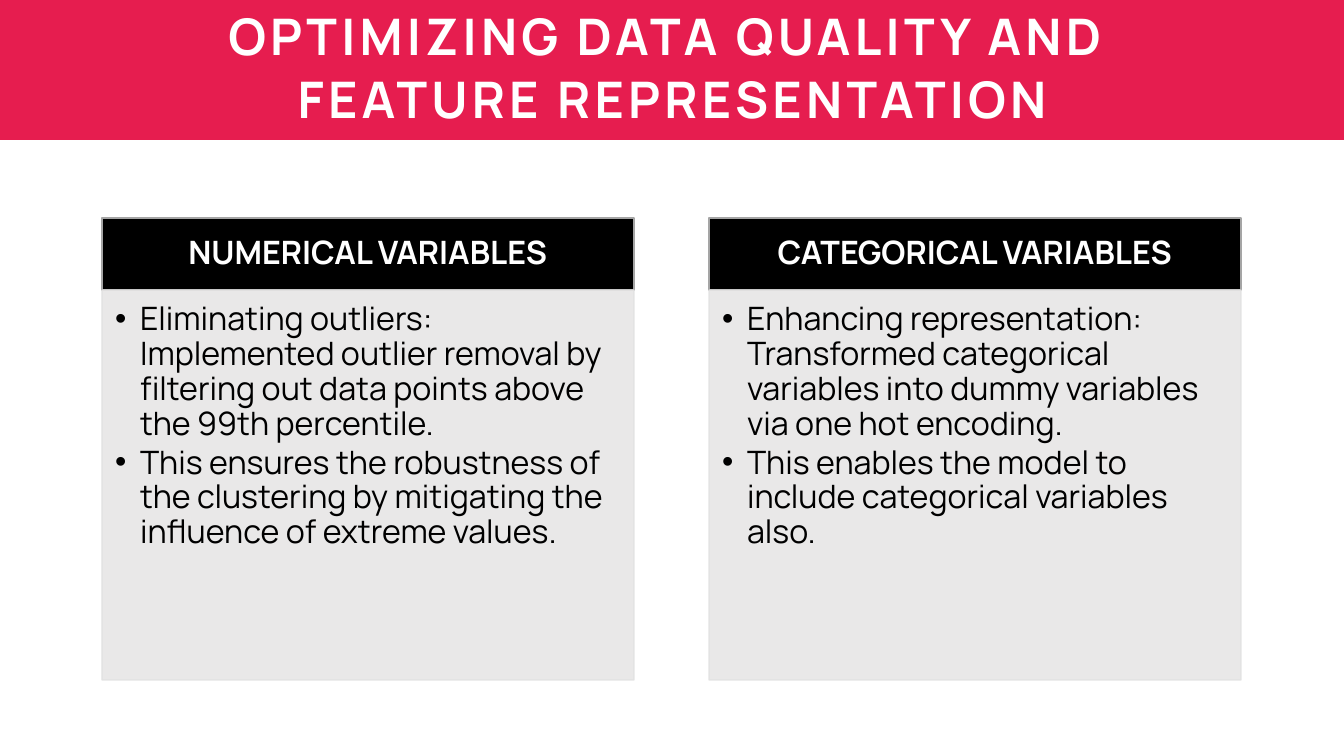
from dataclasses import dataclass

from lxml import etree
from pptx import Presentation
from pptx.dml.color import RGBColor
from pptx.enum.shapes import MSO_SHAPE
from pptx.enum.text import MSO_ANCHOR, MSO_AUTO_SIZE, PP_ALIGN
from pptx.oxml.ns import qn
from pptx.shapes.base import BaseShape
from pptx.text.text import TextFrame, _Paragraph
from pptx.util import Emu, Pt

RECTANGLE = MSO_SHAPE.RECTANGLE
TOP, MIDDLE = MSO_ANCHOR.TOP, MSO_ANCHOR.MIDDLE
CENTER, LEFT = PP_ALIGN.CENTER, PP_ALIGN.LEFT
NO_AUTOFIT = MSO_AUTO_SIZE.NONE

PX_PER_INCH = 100.8
SLIDE_WIDTH, SLIDE_HEIGHT = 1344, 756
COMPARISON_LAYOUT = 4
FONT_NAME = "Manrope"
TITLE_LINES = ("OPTIMIZING DATA QUALITY AND ", "FEATURE REPRESENTATION")

CARD_LEFT, CARD_STEP, CARD_WIDTH = 102, 607, 532
HEADER_TOP, HEADER_HEIGHT = 218, 72
BODY_TOP, BODY_HEIGHT = HEADER_TOP + HEADER_HEIGHT, 390
BULLET_INDENT = 25


@dataclass(frozen=True)
class Card:
    heading: str
    points: tuple[str, ...]
    heading_idx: int
    points_idx: int


CARDS = (
    Card(
        "NUMERICAL VARIABLES",
        (
            "Eliminating outliers: Implemented outlier removal by filtering out "
            "data points above the 99th percentile.",
            "This ensures the robustness of the clustering by mitigating the "
            "influence of extreme values.",
        ),
        1,
        2,
    ),
    Card(
        "CATEGORICAL VARIABLES",
        (
            "Enhancing representation: Transformed categorical variables into "
            "dummy variables via one hot encoding.",
            "This enables the model to include categorical variables also.",
        ),
        3,
        4,
    ),
)


def px(length: int) -> Emu:
    return Emu(round(length * 914400 / PX_PER_INCH))


def rgb(color: str) -> RGBColor:
    return RGBColor.from_string(color)


def place(shape: BaseShape, left: int, top: int, width: int, height: int) -> None:
    shape.left, shape.top = px(left), px(top)
    shape.width, shape.height = px(width), px(height)


def paint(shape: BaseShape, fill: str, line: str, opacity: int = 100) -> None:
    shape.fill.solid()
    shape.fill.fore_color.rgb = rgb(fill)
    shape.line.color.rgb = rgb(line)
    shape.line.width = Pt(1)
    if opacity < 100:
        for color in shape._element.spPr.iter(qn("a:srgbClr")):
            etree.SubElement(color, qn("a:alpha")).set("val", str(opacity * 1000))


def set_frame(
    frame: TextFrame, anchor: MSO_ANCHOR, insets: tuple[int, int, int, int]
) -> None:
    """Set the anchor and the left, top, right and bottom insets."""
    frame.word_wrap = True
    frame.auto_size = NO_AUTOFIT
    frame.vertical_anchor = anchor
    frame.margin_left, frame.margin_top, frame.margin_right, frame.margin_bottom = (
        px(inset) for inset in insets
    )


def set_paragraph(
    paragraph: _Paragraph,
    alignment: PP_ALIGN,
    line_spacing: float | Pt,
    space_after: int = 0,
) -> None:
    paragraph.alignment = alignment
    paragraph.line_spacing = line_spacing
    paragraph.space_before = Pt(0)
    paragraph.space_after = Pt(space_after)


def set_font(paragraph: _Paragraph, size: int, color: str, bold: bool) -> None:
    font = paragraph.font
    font.name, font.size, font.bold = FONT_NAME, Pt(size), bold
    font.color.rgb = rgb(color)


def add_bullet(paragraph: _Paragraph) -> None:
    properties = paragraph._p.get_or_add_pPr()
    properties.set("marL", str(px(BULLET_INDENT)))
    properties.set("indent", str(-px(BULLET_INDENT)))
    etree.SubElement(properties, qn("a:buChar")).set("char", "•")


def fill_title(title: BaseShape) -> None:
    place(title, 67, -2, 1211, 142)
    frame = title.text_frame
    set_frame(frame, TOP, (10, 5, 10, 5))
    frame.text = "\n".join(TITLE_LINES)
    for paragraph in frame.paragraphs:
        set_paragraph(paragraph, CENTER, Pt(44.8))
        set_font(paragraph, 36, "FFFFFF", True)
        for run in paragraph.runs:
            run._r.get_or_add_rPr().set("spc", "300")


def fill_card(card: Card, left: int, heading: BaseShape, body: BaseShape) -> None:
    place(heading, left, HEADER_TOP, CARD_WIDTH, HEADER_HEIGHT)
    paint(heading, "000000", "A5A5A5")
    set_frame(heading.text_frame, MIDDLE, (18, 10, 18, 10))
    heading.text_frame.text = card.heading
    paragraph = heading.text_frame.paragraphs[0]
    set_paragraph(paragraph, CENTER, 0.9)
    set_font(paragraph, 23, "FFFFFF", True)

    place(body, left, BODY_TOP, CARD_WIDTH, BODY_HEIGHT)
    paint(body, "E7E6E6", "E1E1E1", 90)
    set_frame(body.text_frame, TOP, (13, 13, 18, 20))
    body.text_frame.text = "\n".join(card.points)
    for paragraph in body.text_frame.paragraphs:
        set_paragraph(paragraph, LEFT, 0.9, 3)
        add_bullet(paragraph)
        set_font(paragraph, 23, "000000", False)


def main() -> None:
    presentation = Presentation()
    presentation.slide_width = px(SLIDE_WIDTH)
    presentation.slide_height = px(SLIDE_HEIGHT)
    slide = presentation.slides.add_slide(presentation.slide_layouts[COMPARISON_LAYOUT])

    band = slide.shapes.add_shape(RECTANGLE, px(0), px(-1), px(SLIDE_WIDTH), px(141))
    band.shadow.inherit = False
    band.fill.solid()
    band.fill.fore_color.rgb = rgb("E61D4F")
    band.line.fill.background()
    slide.shapes._spTree.insert(2, band._element)

    fill_title(slide.shapes.title)
    placeholders = {
        shape.placeholder_format.idx: shape for shape in slide.placeholders
    }
    for index, card in enumerate(CARDS):
        fill_card(
            card,
            CARD_LEFT + index * CARD_STEP,
            placeholders[card.heading_idx],
            placeholders[card.points_idx],
        )

    presentation.save("out.pptx")


if __name__ == "__main__":
    main()
